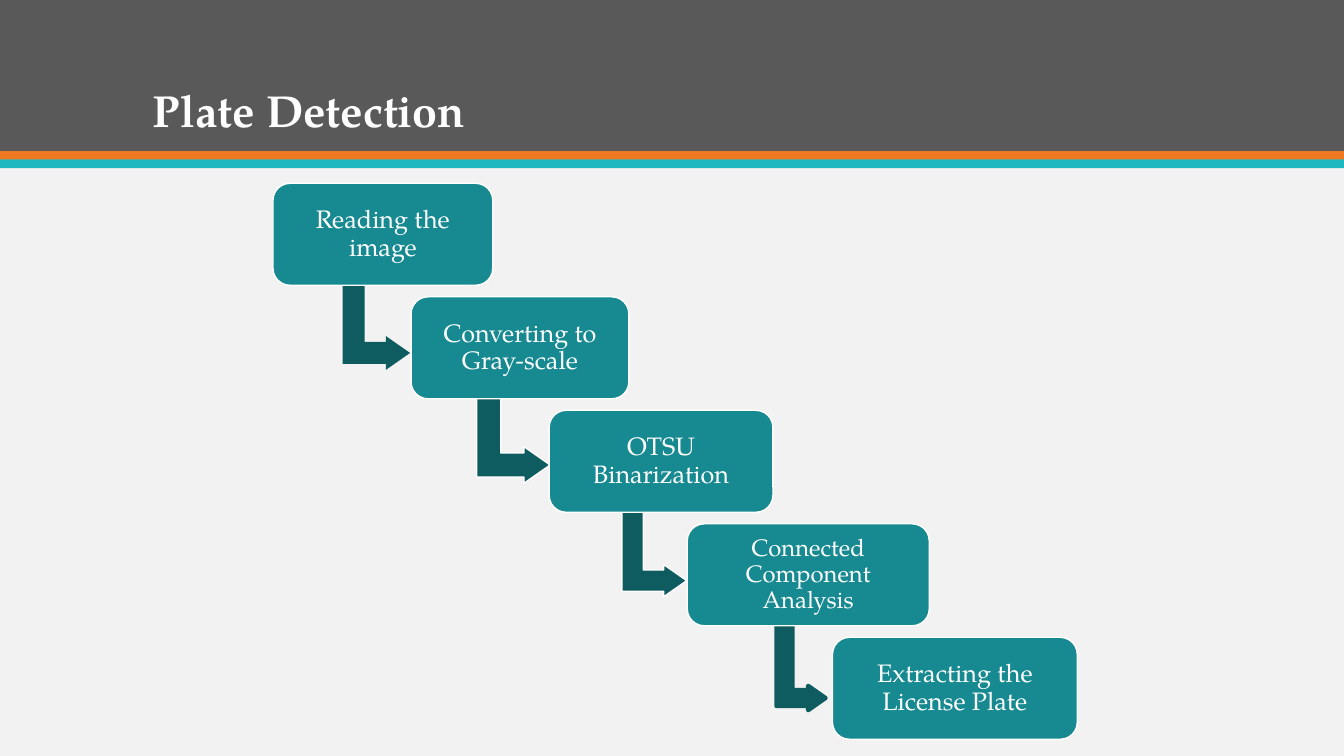
from dataclasses import dataclass

from pptx import Presentation
from pptx.dml.color import RGBColor
from pptx.enum.shapes import MSO_SHAPE
from pptx.enum.text import MSO_ANCHOR, MSO_AUTO_SIZE, PP_ALIGN
from pptx.util import Cm, Pt

RECTANGLE = MSO_SHAPE.RECTANGLE
ROUNDED = MSO_SHAPE.ROUNDED_RECTANGLE
BENT_ARROW = MSO_SHAPE.BENT_UP_ARROW
LEFT, CENTER = PP_ALIGN.LEFT, PP_ALIGN.CENTER
MIDDLE, BOTTOM = MSO_ANCHOR.MIDDLE, MSO_ANCHOR.BOTTOM


@dataclass
class Theme:
    font: str = "TeX Gyre Pagella"
    background: str = "F2F2F2"
    header: str = "595959"
    orange: str = "EF7920"
    turquoise: str = "1EB8C1"
    step: str = "178A91"
    arrow: str = "0F5C60"
    white: str = "FFFFFF"
    title_size: int = 32
    step_size: int = 18
    small_step_size: int = 17


theme = Theme()


def add_filled(kind, left, top, width, height, fill, line=None, line_width=1):
    shape = page.shapes.add_shape(kind, Cm(left), Cm(top), Cm(width), Cm(height))
    shape.shadow.inherit = False
    shape.fill.solid()
    shape.fill.fore_color.rgb = RGBColor.from_string(fill)
    if line:
        shape.line.color.rgb = RGBColor.from_string(line)
        shape.line.width = Pt(line_width)
    else:
        shape.line.fill.background()
    return shape


def write(shape, text, size, align, anchor, bold=False):
    frame = shape.text_frame
    frame.word_wrap = True
    frame.auto_size = MSO_AUTO_SIZE.NONE
    frame.vertical_anchor = anchor
    para = frame.paragraphs[0]
    para.alignment = align
    para.line_spacing = 0.9
    para.space_before = Pt(0)
    span = para.add_run()
    span.text = text
    span.font.name = theme.font
    span.font.size = Pt(size)
    span.font.bold = bold
    span.font.color.rgb = RGBColor.from_string(theme.white)


# Page
deck = Presentation()
deck.slide_width, deck.slide_height = Cm(33.87), Cm(19.05)
page = deck.slides.add_slide(deck.slide_layouts[5])
page.background.fill.solid()
page.background.fill.fore_color.rgb = RGBColor.from_string(theme.background)

# Title
title = page.shapes.title
title.left, title.top, title.width, title.height = Cm(3.6), Cm(0.71), Cm(26.67), Cm(2.87)
write(title, "Plate Detection", theme.title_size, LEFT, BOTTOM, bold=True)

# Header bands, placed behind the title
for top, height, color in [
    (0, 3.81, theme.header),
    (3.81, 0.22, theme.orange),
    (4.02, 0.22, theme.turquoise),
]:
    band = add_filled(RECTANGLE, 0, top, 33.87, height, color)
    title.element.addprevious(band.element)

# Staircase of steps: text, left, width, text size, arrow reach, arrow line, line width
steps = [
    ("Reading the image", 6.88, 5.54, theme.step_size, 1.7, None, 0),
    ("Converting to Gray-scale", 10.36, 5.49, theme.step_size, 1.85, theme.white, 1),
    ("OTSU Binarization", 13.84, 5.64, theme.step_size, 1.63, theme.white, 1),
    ("Connected Component Analysis", 17.32, 6.1, theme.small_step_size, 1.24, theme.arrow, 3),
    ("Extracting the License Plate", 20.98, 6.17, theme.step_size, None, None, 0),
]
first_top, row_pitch, step_height = 4.62, 2.86, 2.57
arrow_drop, arrow_offset = 2.16, 3.62

for row, (text, left, width, size, reach, line, line_width) in enumerate(steps):
    top = first_top + row * row_pitch

    # Arrow to the next step, turned to point right
    if reach:
        center_x, center_y = left + 0.47 * width, top + arrow_offset
        arrow = add_filled(BENT_ARROW, center_x - arrow_drop / 2, center_y - reach / 2,
                           arrow_drop, reach, theme.arrow, line, line_width)
        arrow.rotation = 90
        for index, value in enumerate((0.328, 0.25, 0.358)):
            arrow.adjustments[index] = value

    # Step box
    box = add_filled(ROUNDED, left, top, width, step_height, theme.step, theme.white)
    box.adjustments[0] = 0.167
    frame = box.text_frame
    frame.margin_left = frame.margin_right = Cm(0.18)
    frame.margin_top = frame.margin_bottom = Cm(0.18)
    write(box, text, size, CENTER, MIDDLE)

deck.save("out.pptx")
